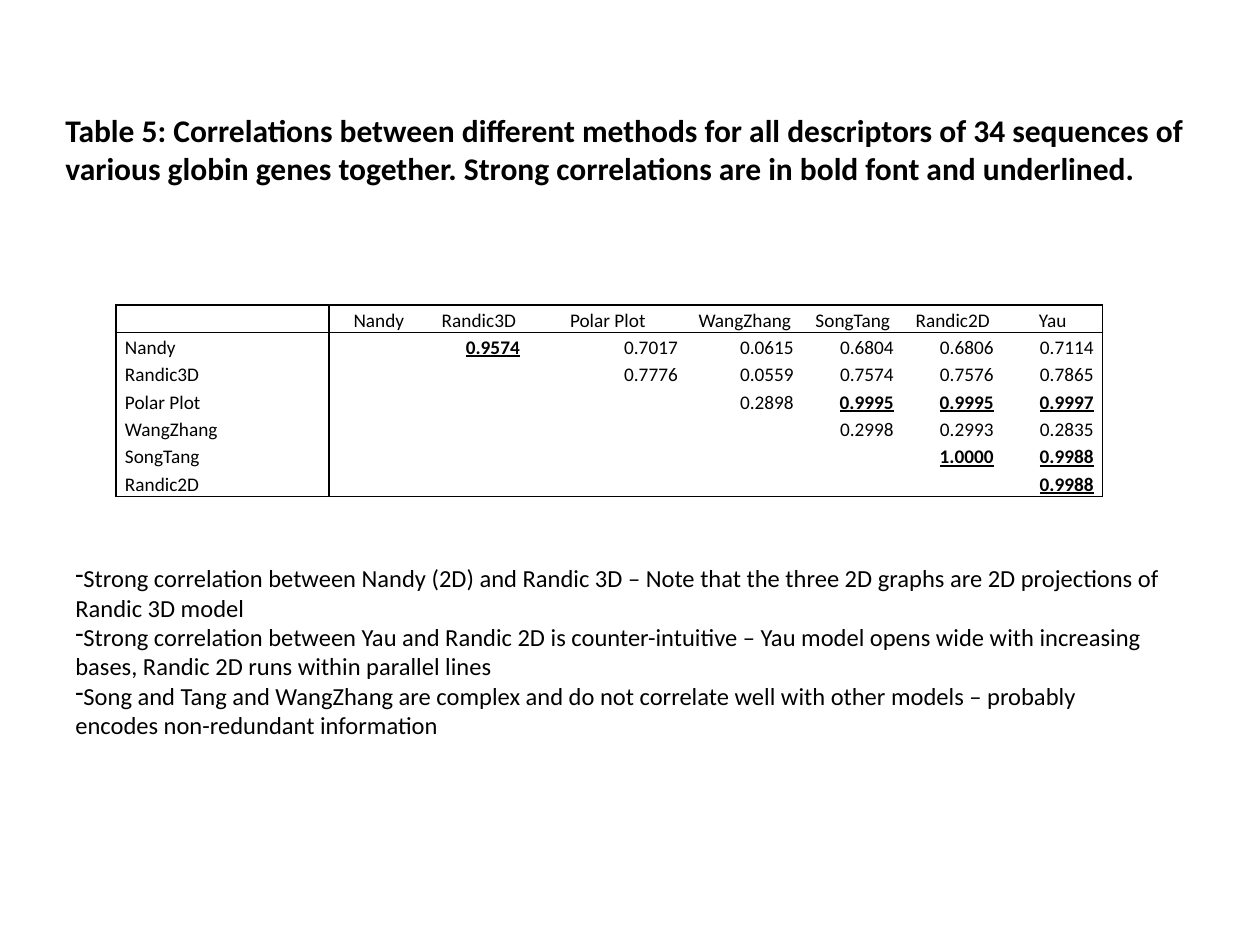
import pptx
import pptx.dml.color
import pptx.enum.text
import pptx.oxml.ns
import pptx.util
from lxml import etree

PX = 914400 // 126
FONT = "Calibri"
COLORS = {"ink": "000000"}
ALIGN = pptx.enum.text.PP_ALIGN
STRONG = 0.95

TITLE = ("Table 5: Correlations between different methods for all descriptors of 34 sequences of "
         "various globin genes together. Strong correlations are in bold font and underlined.")
METHODS = ["Nandy", "Randic3D", "Polar Plot", "WangZhang", "SongTang", "Randic2D", "Yau"]
# Upper triangle: each row starts at the method after its own.
CORRELATIONS = [
    ["0.9574", "0.7017", "0.0615", "0.6804", "0.6806", "0.7114"],
    ["0.7776", "0.0559", "0.7574", "0.7576", "0.7865"],
    ["0.2898", "0.9995", "0.9995", "0.9997"],
    ["0.2998", "0.2993", "0.2835"],
    ["1.0000", "0.9988"],
    ["0.9988"],
]
COLUMN_WIDTHS = [213, 100, 100, 158, 116, 100, 100, 100]
ROW_HEIGHT = 26
FINDINGS = [
    "Strong correlation between Nandy (2D) and Randic 3D – Note that the three 2D graphs are "
    "2D projections of Randic 3D model",
    "Strong correlation between Yau and Randic 2D is counter-intuitive – Yau model opens wide "
    "with increasing bases, Randic 2D runs within parallel lines",
    "Song and Tang and WangZhang are complex and do not correlate well with other models – "
    "probably encodes non-redundant information",
]


def px(length):
    return pptx.util.Emu(length * PX)


def sub(parent, tag, **attributes):
    return etree.SubElement(parent, pptx.oxml.ns.qn(tag), attributes)


def add_span(para, text, size, strong=False):
    span = para.add_run()
    span.text = text
    span.font.name = FONT
    span.font.size = pptx.util.Pt(size)
    span.font.bold = strong
    span.font.color.rgb = pptx.dml.color.RGBColor.from_string(COLORS["ink"])
    return span


def add_text(page, left, top, width, height, lines, size, strong=False, bullet=None):
    box = page.shapes.add_textbox(px(left), px(top), px(width), px(height))
    frame = box.text_frame
    frame.word_wrap = True
    for index, line in enumerate(lines):
        para = frame.paragraphs[0] if index == 0 else frame.add_paragraph()
        if bullet:
            sub(para._p.get_or_add_pPr(), "a:buChar", char=bullet)
        add_span(para, line, size, strong)


def set_borders(cell, drawn):
    """Draw the named sides in ink and clear the others."""
    properties = cell._tc.get_or_add_tcPr()
    for index, side in enumerate("LRTB"):
        line = etree.Element(pptx.oxml.ns.qn("a:ln" + side), w=str(pptx.util.Pt(1)))
        if side in drawn:
            sub(sub(line, "a:solidFill"), "a:srgbClr", val=COLORS["ink"])
        else:
            sub(line, "a:noFill")
        properties.insert(index, line)


def fill_cell(cell, text, align):
    cell.fill.background()
    cell.vertical_anchor = pptx.enum.text.MSO_ANCHOR.BOTTOM
    cell.margin_left = cell.margin_right = px(9)
    cell.margin_top = cell.margin_bottom = 0
    para = cell.text_frame.paragraphs[0]
    para.alignment = align
    para.line_spacing = 1.15
    if not text:
        sub(para._p, "a:endParaRPr", sz="1100")
        return
    strong = align == ALIGN.RIGHT and float(text) >= STRONG
    add_span(para, text, 11, strong).font.underline = strong


def add_correlations(page, left, top):
    rows = [[""] + METHODS]
    for index, values in enumerate(CORRELATIONS):
        rows.append([METHODS[index]] + [""] * (index + 1) + values)
    last_row, last_column = len(rows) - 1, len(COLUMN_WIDTHS) - 1
    table = page.shapes.add_table(
        len(rows), len(COLUMN_WIDTHS), px(left), px(top),
        px(sum(COLUMN_WIDTHS)), px(ROW_HEIGHT * len(rows))).table
    table.first_row = table.horz_banding = False
    for column, width in zip(table.columns, COLUMN_WIDTHS):
        column.width = px(width)
    for r, values in enumerate(rows):
        table.rows[r].height = px(ROW_HEIGHT)
        for c, text in enumerate(values):
            cell = table.cell(r, c)
            align = ALIGN.CENTER if r == 0 else ALIGN.LEFT if c == 0 else ALIGN.RIGHT
            fill_cell(cell, text, align)
            sides = {"L": c <= 1, "R": c in (0, last_column),
                     "T": r <= 1, "B": r in (0, last_row)}
            set_borders(cell, [side for side, drawn in sides.items() if drawn])


def main():
    deck = pptx.Presentation()
    deck.slide_width, deck.slide_height = px(1260), px(945)
    page = deck.slides.add_slide(deck.slide_layouts[6])
    add_correlations(page, 116, 305)
    add_text(page, 53, 105, 1155, 89, [TITLE], 18, strong=True)
    add_text(page, 63, 557, 1113, 190, FINDINGS, 14, bullet="-")
    deck.save("out.pptx")


if __name__ == "__main__":
    main()
